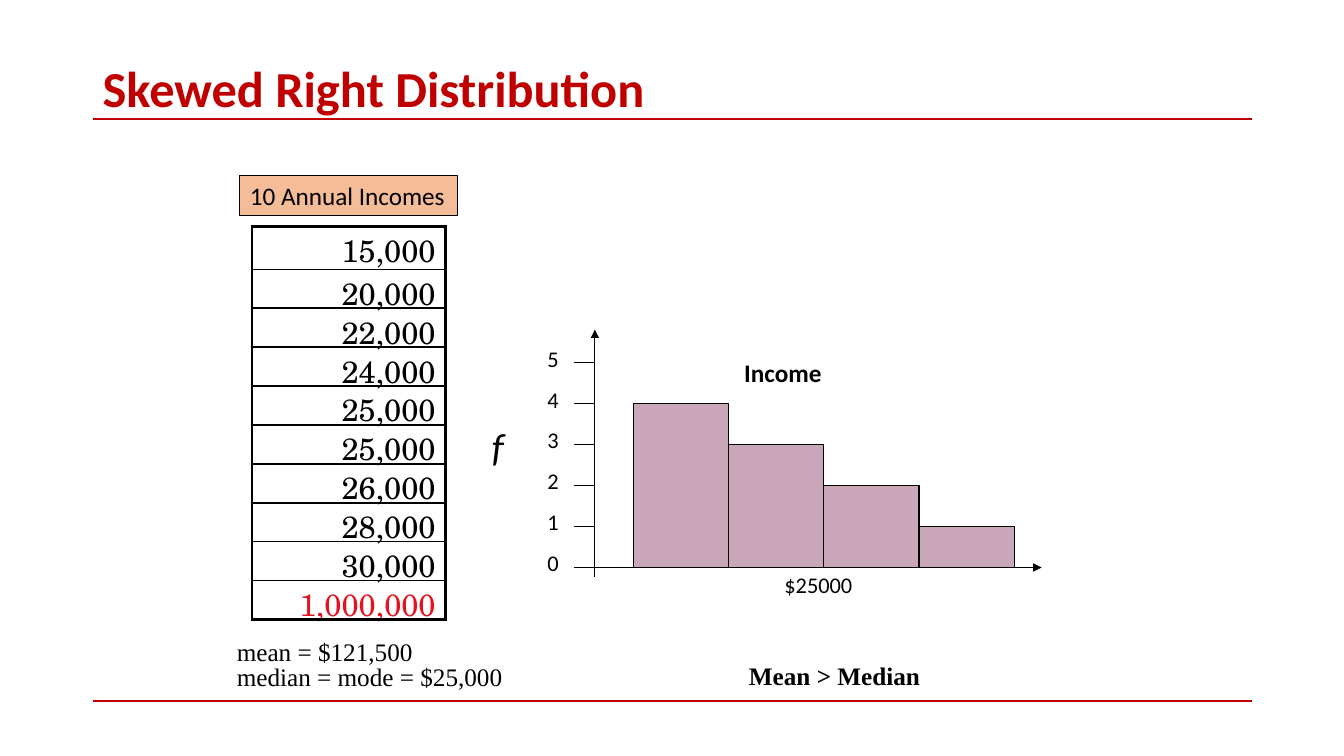
from lxml.etree import SubElement
from pptx import Presentation
from pptx.dml.color import RGBColor
from pptx.enum.shapes import MSO_CONNECTOR, MSO_SHAPE
from pptx.enum.text import MSO_ANCHOR, MSO_AUTO_SIZE, PP_ALIGN
from pptx.oxml.ns import qn
from pptx.util import Inches, Pt

COLOURS = {
    "title": "C00000", "ink": "000000", "outlier": "E11521",
    "header": "ED7D31", "bar": "954F72",
}
SANS, SERIF, SCHOOL = "Calibri", "Times New Roman", "TeX Gyre Schola"

TITLE = "Skewed Right Distribution"
HEADER = "10 Annual Incomes"
INCOMES = ["15,000", "20,000", "22,000", "24,000", "25,000",
           "25,000", "26,000", "28,000", "30,000", "1,000,000"]
STATISTICS = ["mean = $121,500", "median = mode = $25,000"]
CONCLUSION = "Mean > Median"
CHART_TITLE, FREQUENCY_LABEL, AXIS_LABEL = "Income", "f", "$25000"
FREQUENCIES = [4, 3, 2, 1]
TICKS = range(6)

RULE_LEFT, RULE_RIGHT = 0.92, 12.42
RULE_HEIGHTS = [1.18, 6.95]
TABLE_LEFT, TABLE_TOP, TABLE_WIDTH = 2.5, 2.25, 1.92
FIRST_ROW, OTHER_ROW = 0.42, 0.35
BASELINE, UNIT = 5.63, 0.406
BAR_LEFT, BAR_WIDTH = 6.28, 0.945
AXIS_X, TICK_LENGTH = 5.9, 0.21

deck = Presentation()
deck.slide_width, deck.slide_height = Inches(13.33), Inches(7.5)
page = deck.slides.add_slide(deck.slide_layouts[6])


def colour(name):
    return RGBColor.from_string(COLOURS[name])


def add_span(para, text, size, font, ink="ink", bold=False, italic=False):
    span = para.add_run()
    span.text = text
    span.font.size, span.font.name = Pt(size), font
    span.font.bold, span.font.italic = bold, italic
    span.font.color.rgb = colour(ink)


def space_before(para, percent):
    properties = para._p.get_or_add_pPr()
    spacing = SubElement(properties, qn("a:spcBef"))
    SubElement(spacing, qn("a:spcPct"), val=str(percent * 1000))


def fill_frame(frame, lines, size, font=SANS, wrap=False, inset=True, align=PP_ALIGN.LEFT,
               anchor=MSO_ANCHOR.TOP, leading=None, before=None, **style):
    frame.word_wrap = wrap
    frame.auto_size = MSO_AUTO_SIZE.SHAPE_TO_FIT_TEXT
    frame.vertical_anchor = anchor
    if not inset:
        frame.margin_left = frame.margin_right = frame.margin_top = frame.margin_bottom = 0
    for index, line in enumerate(lines):
        para = frame.add_paragraph() if index else frame.paragraphs[0]
        para.alignment = align
        if leading:
            para.line_spacing = leading
        if before:
            space_before(para, before)
        add_span(para, line, size, font, **style)


def add_text(place, lines, size, **style):
    box = page.shapes.add_textbox(*map(Inches, place))
    fill_frame(box.text_frame, lines, size, **style)


def add_line(start, end, ink="ink", width=0.88, arrow=False):
    line = page.shapes.add_connector(MSO_CONNECTOR.STRAIGHT, *map(Inches, start + end))
    line.line.color.rgb = colour(ink)
    line.line.width = Pt(width)
    if arrow:
        SubElement(line.line._get_or_add_ln(), qn("a:headEnd"), type="triangle")
    SubElement(line._element.spPr, qn("a:effectLst"))


def add_tinted_box(place, tint, width):
    box = page.shapes.add_shape(MSO_SHAPE.RECTANGLE, *map(Inches, place))
    box.shadow.inherit = False
    box.fill.solid()
    box.fill.fore_color.rgb = colour(tint)
    tint_element = box._element.spPr.find(qn("a:solidFill"))[0]
    SubElement(tint_element, qn("a:alpha"), val="50000")
    box.line.color.rgb = colour("ink")
    box.line.width = Pt(width)
    return box


def add_borders(cell, widths):
    properties = cell._tc.get_or_add_tcPr()
    for index, (side, width) in enumerate(widths.items()):
        border = properties.makeelement(qn("a:" + side), {"w": str(int(Pt(width)))})
        properties.insert(index, border)
        paint = SubElement(border, qn("a:solidFill"))
        SubElement(paint, qn("a:srgbClr"), val=COLOURS["ink"])


def add_income_table():
    last = len(INCOMES) - 1
    height = FIRST_ROW + OTHER_ROW * last
    place = (TABLE_LEFT, TABLE_TOP, TABLE_WIDTH, height)
    table = page.shapes.add_table(len(INCOMES), 1, *map(Inches, place)).table
    table.first_row = table.horz_banding = False
    for index, income in enumerate(INCOMES):
        table.rows[index].height = Inches(OTHER_ROW if index else FIRST_ROW)
        cell = table.cell(index, 0)
        cell.fill.background()
        cell.margin_left = cell.margin_right = Inches(0.1)
        cell.margin_top = cell.margin_bottom = Inches(0.01)
        para = cell.text_frame.paragraphs[0]
        para.alignment = PP_ALIGN.RIGHT
        space_before(para, 20)
        add_span(para, income, 22, SCHOOL, "outlier" if index == last else "ink")
        add_borders(cell, {"lnL": 2.25, "lnR": 2.25,
                           "lnT": 1 if index else 2.25,
                           "lnB": 2.25 if index == last else 1})


def add_histogram():
    for index, count in enumerate(FREQUENCIES):
        height = count * UNIT
        place = (BAR_LEFT + index * BAR_WIDTH, BASELINE - height, BAR_WIDTH, height)
        add_tinted_box(place, "bar", 0.88)
    for tick in TICKS:
        level = BASELINE - tick * UNIT
        add_text((5.43, level - 0.18, 0.11, 0.27), [str(tick)], 16, inset=False)
        add_line((AXIS_X - TICK_LENGTH, level), (AXIS_X, level))
    add_line((AXIS_X, 3.27), (AXIS_X, 5.72), arrow=True)
    add_line((10.33, BASELINE), (5.83, BASELINE), arrow=True)
    add_text((6.58, 3.5, 2.37, 0.4), [CHART_TITLE], 18, wrap=True,
             align=PP_ALIGN.CENTER, bold=True)
    add_text((4.78, 4.14, 0.5, 0.57), [FREQUENCY_LABEL], 28, wrap=True, italic=True)
    add_text((7.78, 5.67, 0.68, 0.27), [AXIS_LABEL], 16, inset=False)


for rule_height in RULE_HEIGHTS:
    add_line((RULE_LEFT, rule_height), (RULE_RIGHT, rule_height), "title", 1.5)
add_text((0.92, 0.61, 11.5, 0.58), [TITLE], 36, wrap=True, anchor=MSO_ANCHOR.MIDDLE,
         leading=0.9, ink="title", bold=True)
add_text((2.25, 6.33, 5.42, 0.59), STATISTICS, 18, font=SERIF, wrap=True,
         leading=0.75, before=10)
add_text((7.33, 6.5, 1.92, 0.4), [CONCLUSION], 18, font=SERIF, bold=True)
add_income_table()
header_box = add_tinted_box((2.38, 1.74, 2.16, 0.4), "header", 0.75)
fill_frame(header_box.text_frame, [HEADER], 18)
add_histogram()
deck.save("out.pptx")
